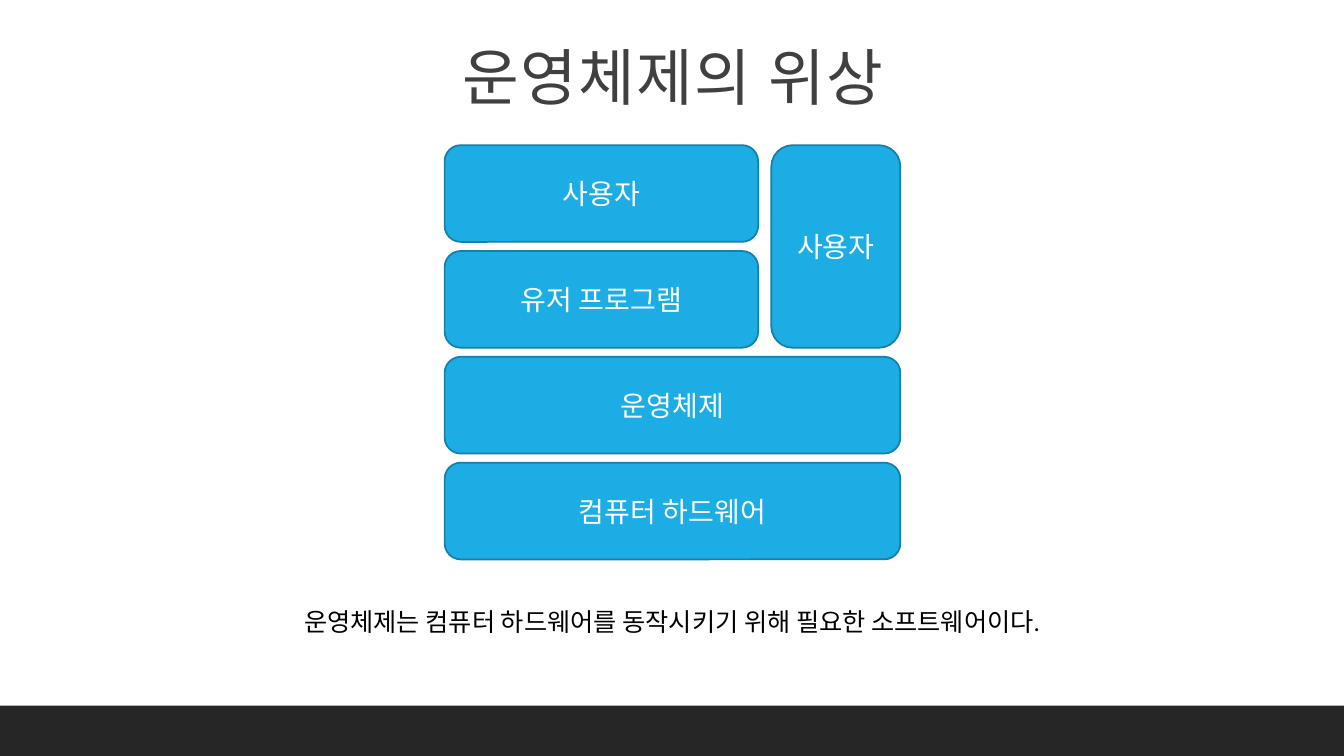
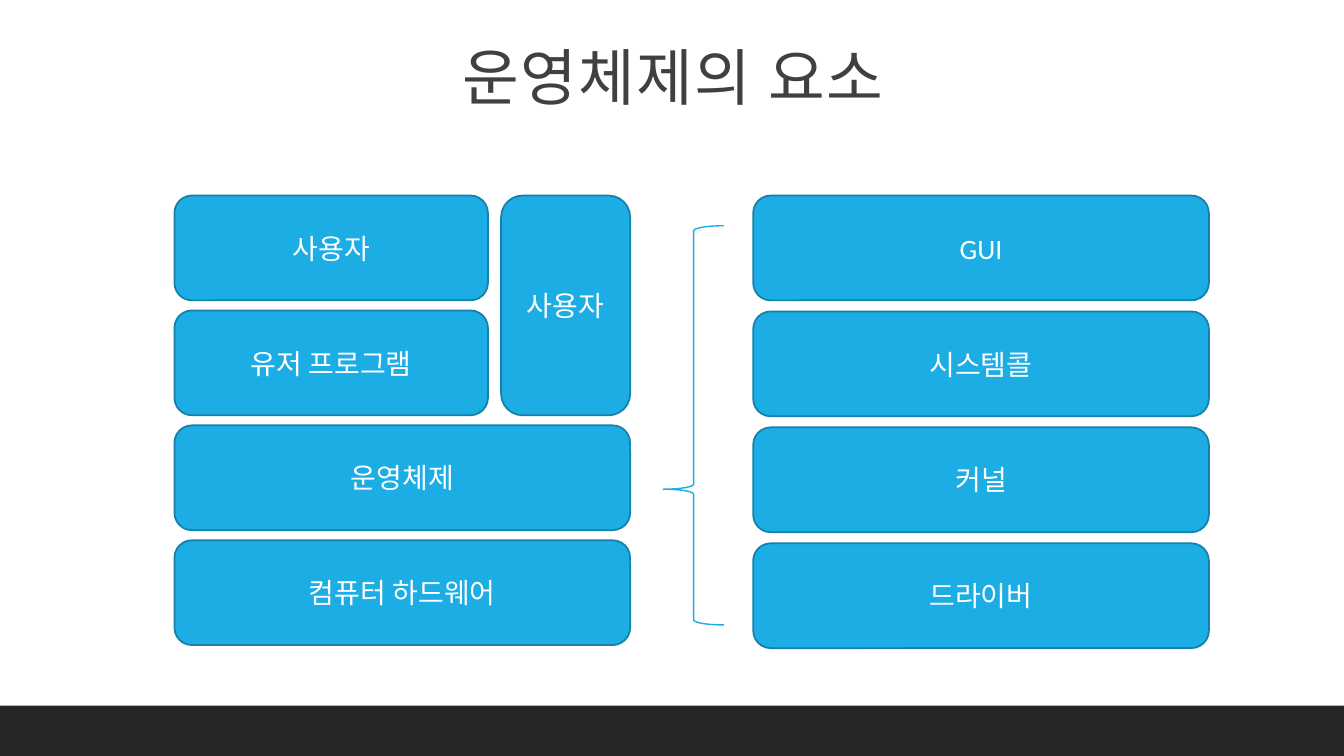
from pptx import Presentation
from pptx.dml.color import RGBColor
from pptx.enum.shapes import MSO_SHAPE as Shape
from pptx.enum.text import MSO_ANCHOR as Anchor, MSO_AUTO_SIZE as AutoSize, PP_ALIGN as Align
from pptx.util import Inches, Pt

# Shared look
FONT = "Calibri"
BLUE, EDGE, BAND = "1CADE4", "1580A9", "262626"
WHITE, BLACK, TITLE = "FFFFFF", "000000", "404040"
SLIDE_WIDTH, SLIDE_HEIGHT = 13.33, 7.5
TITLE_BOX = (0.53, 0.23, 12.29, 0.99)
BAND_BOX = (0, 7, SLIDE_WIDTH, 0.5)
TITLE_FRAME = dict(vertical_anchor=Anchor.BOTTOM, margin_left=Inches(0.12),
                   margin_right=Inches(0.12), margin_top=Inches(0.12),
                   margin_bottom=Inches(0.1))

LAYERS = ["사용자", "유저 프로그램", "운영체제", "컴퓨터 하드웨어"]
PARTS = ["GUI", "시스템콜", "커널", "드라이버"]
SIDE_USER = "사용자"
SIDE_WIDTH, SIDE_GAP = 1.28, 0.13


def color(value):
    return RGBColor.from_string(value)


def apply(target, formats):
    for name, value in formats.items():
        setattr(target, name, value)


def write(shape, text, size, ink, frame_formats, line_spacing=None):
    """Put one centred line of text in a shape and return its run."""
    frame = shape.text_frame
    apply(frame, dict(word_wrap=True, **frame_formats))
    para = frame.paragraphs[0]
    apply(para, dict(alignment=Align.CENTER, line_spacing=line_spacing))
    span = para.add_run()
    span.text = text
    apply(span.font, dict(name=FONT, size=Pt(size)))
    span.font.color.rgb = color(ink)
    return span


def add_text(page, box, *style):
    return write(page.shapes.add_textbox(*map(Inches, box)), *style)


def add_shape(page, kind, box, fill=None, line=None, weight=1.25):
    shape = page.shapes.add_shape(kind, *map(Inches, box))
    shape.shadow.inherit = False
    if fill:
        shape.fill.solid()
        shape.fill.fore_color.rgb = color(fill)
    else:
        shape.fill.background()
    if line:
        shape.line.color.rgb = color(line)
        shape.line.width = Pt(weight)
    else:
        shape.line.fill.background()
    return shape


def add_block(page, box, text):
    block = add_shape(page, Shape.ROUNDED_RECTANGLE, box, BLUE, EDGE)
    write(block, text, 20, WHITE, dict(vertical_anchor=Anchor.MIDDLE))


def split_rows(box, count, gap):
    """Cut a box into equal rows with a gap between them."""
    left, top, width, height = box
    row_height = (height - gap * (count - 1)) / count
    return [(left, top + row * (row_height + gap), width, row_height)
            for row in range(count)]


def add_stack(page, box, labels, gap):
    for row, label in zip(split_rows(box, len(labels), gap), labels):
        add_block(page, row, label)


def add_system_layers(page, box, gap):
    """Four layers, with a second user block beside the upper two."""
    left, top, width, height = box
    upper_height = (height - gap) / 2
    narrow = width - SIDE_WIDTH - SIDE_GAP
    add_stack(page, (left, top, narrow, upper_height), LAYERS[:2], gap)
    add_stack(page, (left, top + upper_height + gap, width, upper_height), LAYERS[2:], gap)
    add_block(page, (left + narrow + SIDE_GAP, top, SIDE_WIDTH, upper_height), SIDE_USER)


def add_brace(page, box, point):
    brace = add_shape(page, Shape.LEFT_BRACE, box, line=BLUE, weight=1)
    brace.adjustments[1] = point


def add_page(deck, title):
    """Blank page with the bottom band and the title."""
    page = deck.slides.add_slide(deck.slide_layouts[6])
    add_shape(page, Shape.RECTANGLE, BAND_BOX, BAND)
    span = add_text(page, TITLE_BOX, title, 44, TITLE, TITLE_FRAME, 1.05)
    span.font._element.set("spc", "100")
    return page


def build_position_page(deck):
    page = add_page(deck, "운영체제의 위상")
    add_system_layers(page, (4.41, 1.44, 4.52, 4.11), gap=0.09)
    add_text(page, (1.58, 5.97, 10.17, 0.4),
             "운영체제는 컴퓨터 하드웨어를 동작시키기 위해 필요한 소프트웨어이다.",
             18, BLACK, dict(auto_size=AutoSize.SHAPE_TO_FIT_TEXT))


def build_elements_page(deck):
    page = add_page(deck, "운영체제의 요소")
    add_system_layers(page, (1.73, 1.94, 4.52, 4.46), gap=0.1)
    add_stack(page, (7.47, 1.94, 4.52, 4.49), PARTS, gap=0.11)
    add_brace(page, (6.58, 2.24, 0.6, 3.96), point=0.66)


deck = Presentation()
apply(deck, dict(slide_width=Inches(SLIDE_WIDTH), slide_height=Inches(SLIDE_HEIGHT)))
build_position_page(deck)
build_elements_page(deck)
deck.save("out.pptx")
